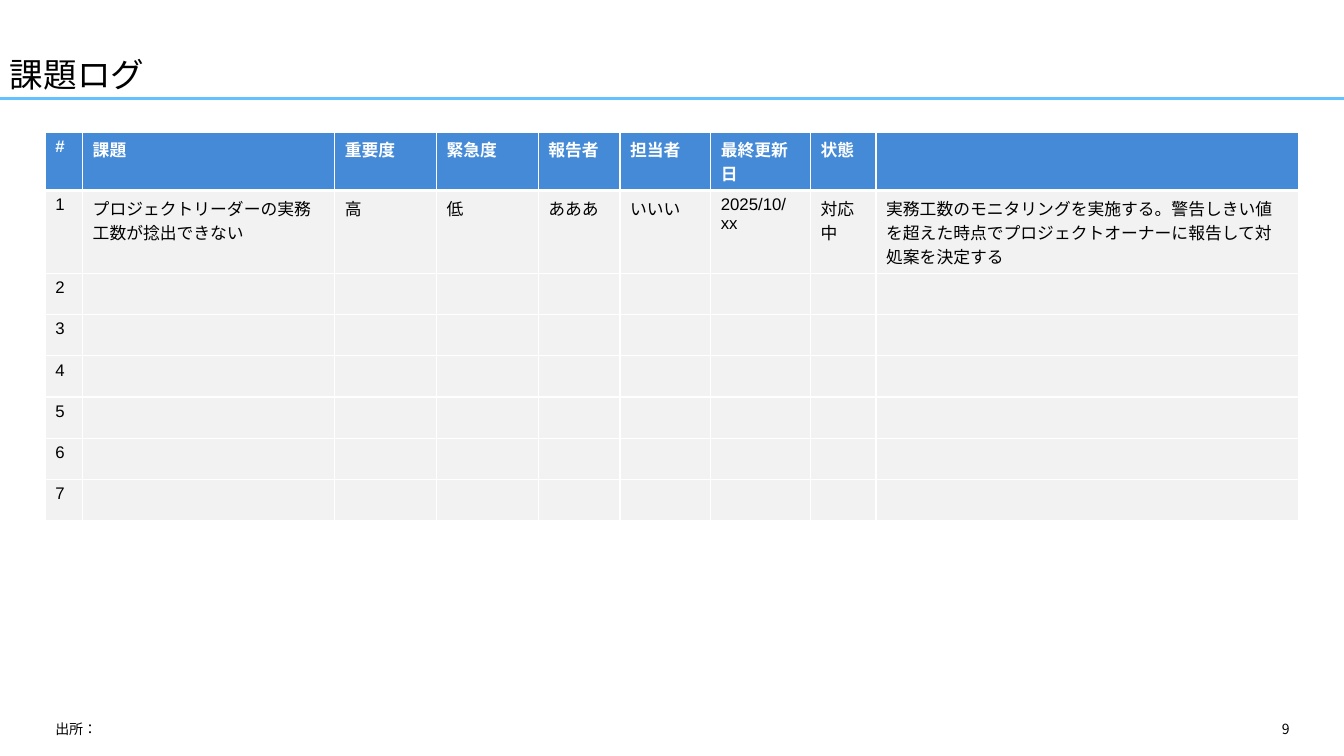
from lxml.etree import SubElement
from pptx import Presentation
from pptx.dml.color import RGBColor
from pptx.enum.lang import MSO_LANGUAGE_ID as LANGUAGE
from pptx.enum.shapes import MSO_CONNECTOR
from pptx.enum.text import MSO_ANCHOR, PP_ALIGN
from pptx.oxml.ns import qn
from pptx.util import Inches, Pt

BLACK = RGBColor(0x00, 0x00, 0x00)
WHITE = RGBColor(0xFF, 0xFF, 0xFF)
SKY = RGBColor(0x63, 0xC1, 0xFF)
HEADER_BLUE = RGBColor(0x44, 0x8A, 0xD7)
ROW_GRAY = RGBColor(0xF2, 0xF2, 0xF2)
JAPANESE_FONT = "Noto Sans CJK JP"


def style_paragraph(paragraph, size, color, latin=JAPANESE_FONT, bold=False):
    font = paragraph.font
    font.size, font.bold, font.name = Pt(size), bold, latin
    font.color.rgb = color
    defaults = paragraph._p.pPr.find(qn("a:defRPr"))
    SubElement(defaults, qn("a:ea"), typeface=JAPANESE_FONT)
    for run in paragraph.runs:
        run.font.language_id = LANGUAGE.JAPANESE


def add_border(cell, side, width):
    line = SubElement(cell._tc.get_or_add_tcPr(), qn(f"a:{side}"), w=str(Pt(width)))
    fill = SubElement(line, qn("a:solidFill"))
    SubElement(fill, qn("a:srgbClr"), val=str(WHITE))


presentation = Presentation()
presentation.slide_width = Inches(13.33)
presentation.slide_height = Inches(7.5)
slide = presentation.slides.add_slide(presentation.slide_layouts[6])

# Rule under the title
rule = slide.shapes.add_connector(
    MSO_CONNECTOR.STRAIGHT, Inches(0), Inches(0.98), Inches(13.33), Inches(0.98))
rule.line.color.rgb = SKY
rule.line.width = Pt(2.25)
SubElement(rule._element.spPr, qn("a:effectLst"))

# Title, source note and page number
texts = [
    ("課題ログ", (0, 0, 13.33, 0.99), 24, MSO_ANCHOR.BOTTOM, PP_ALIGN.LEFT, 0.9),
    ("出所：", (0.45, 7.11, 8.47, 0.24), 10, MSO_ANCHOR.MIDDLE, PP_ALIGN.LEFT, 1.0),
    ("9", (9.42, 7.11, 3.47, 0.24), 10, MSO_ANCHOR.MIDDLE, PP_ALIGN.RIGHT, 1.0),
]
for text, box, size, anchor, alignment, spacing in texts:
    frame = slide.shapes.add_textbox(*map(Inches, box)).text_frame
    frame.word_wrap = True
    frame.vertical_anchor = anchor
    paragraph = frame.paragraphs[0]
    paragraph.text = text
    paragraph.alignment = alignment
    paragraph.line_spacing = spacing
    style_paragraph(paragraph, size, BLACK)

# Issue log table: the first two rows are tall enough for their wrapped text
column_widths = [0.37, 2.5, 1.01, 1.01, 0.81, 0.9, 0.99, 0.65, 4.19]
row_heights = [0.58, 0.82] + [0.41] * 6
header = ["#", "課題", "重要度", "緊急度", "報告者", "担当者", "最終更新日", "状態", ""]
first_issue = [
    "1", "プロジェクトリーダーの実務工数が捻出できない", "高", "低", "あああ", "いいい",
    "2025/10/xx", "対応中",
    "実務工数のモニタリングを実施する。警告しきい値を超えた時点で"
    "プロジェクトオーナーに報告して対処案を決定する",
]
empty_issues = [[str(number)] + [""] * 8 for number in range(2, 8)]
rows = [header, first_issue] + empty_issues

table = slide.shapes.add_table(
    len(rows), len(column_widths), Inches(0.45), Inches(1.31),
    Inches(12.44), Inches(sum(row_heights))).table
table.horz_banding = False
for column, width in zip(table.columns, column_widths):
    column.width = Inches(width)
for row, height in zip(table.rows, row_heights):
    row.height = Inches(height)

for row_index, values in enumerate(rows):
    is_header = row_index == 0
    for column_index, value in enumerate(values):
        cell = table.cell(row_index, column_index)
        cell.text = value
        style_paragraph(cell.text_frame.paragraphs[0], 12,
                        WHITE if is_header else BLACK, "Arial", is_header)
        for side in ("lnL", "lnR", "lnT", "lnB"):
            thick = (row_index, side) in ((0, "lnB"), (1, "lnT"))
            add_border(cell, side, 3 if thick else 1)
        cell.fill.solid()
        cell.fill.fore_color.rgb = HEADER_BLUE if is_header else ROW_GRAY

presentation.save("out.pptx")
